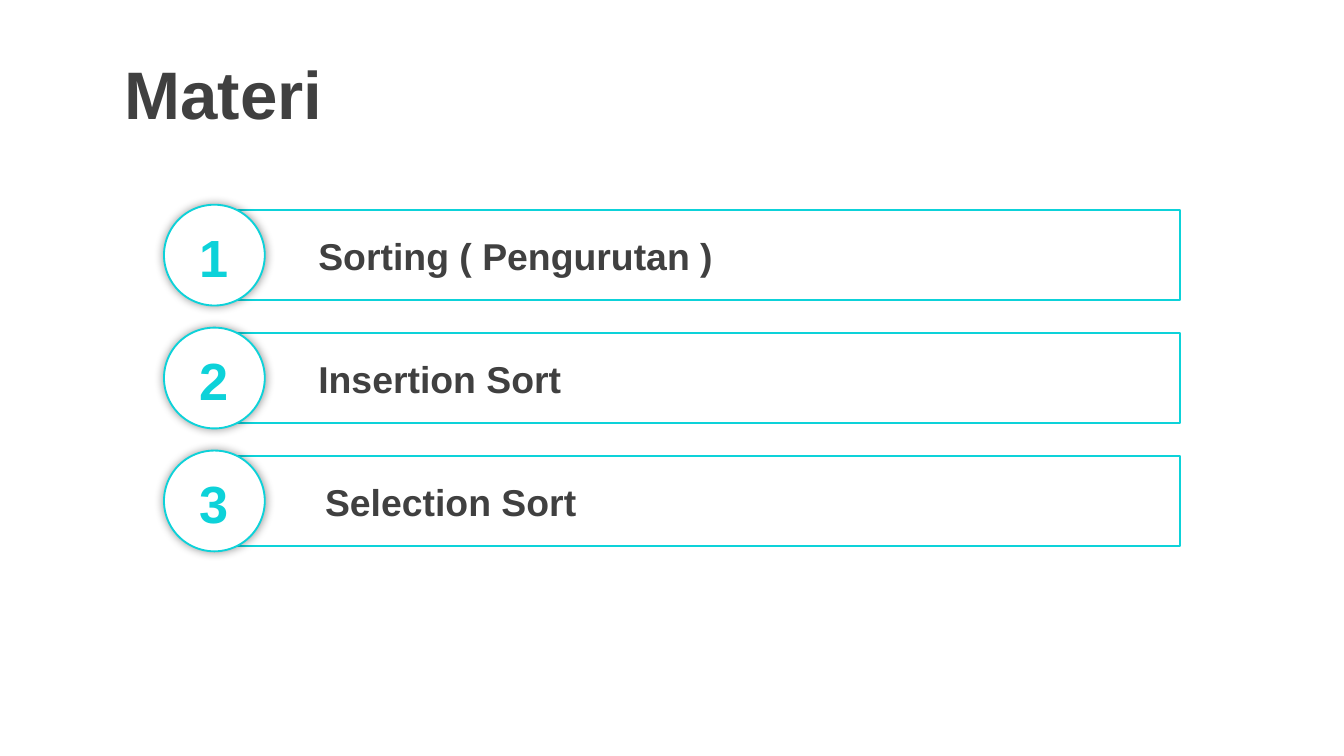
from lxml import etree
from pptx import Presentation, util as u
from pptx.dml.color import RGBColor
from pptx.enum import shapes, text
from pptx.oxml import ns

HUES = {"ink": "404040", "cyan": "0DD2D9", "white": "FFFFFF", "black": "000000"}

deck = Presentation()
deck.slide_width = u.Inches(10)
deck.slide_height = deck.slide_width * 9 // 16
slide = deck.slides.add_slide(deck.slide_layouts[6])

# The slide is a grid of 100 columns by 100 rows.
col, row = deck.slide_width / 100, deck.slide_height / 100


def label(words, x, y, w, h, size, hue, align=text.PP_ALIGN.LEFT):
    """Add one bold line of text, centred in the height of its box."""
    box = slide.shapes.add_textbox(int(x * col), int(y * row), int(w * col), int(h * row))
    frame = box.text_frame
    frame.word_wrap = True
    frame.vertical_anchor = text.MSO_ANCHOR.MIDDLE
    para = frame.paragraphs[0]
    para.alignment = align
    run = para.add_run()
    run.text = words
    run.font.name, run.font.size, run.font.bold = "Arial", u.Pt(size), True
    run.font.color.rgb = RGBColor.from_string(HUES[hue])


def outline(kind, x, y, w, h):
    """Add an unfilled shape with a thin cyan line and no shadow."""
    form = slide.shapes.add_shape(kind, int(x * col), int(y * row), int(w * col), int(h * row))
    form.shadow.inherit = False
    form.fill.background()
    form.line.color.rgb = RGBColor.from_string(HUES["cyan"])
    form.line.width = u.Pt(1)
    return form


label("Materi", 8.3, 6.6, 91.7, 11.2, 36, "ink")

# Each topic has its words and the column where they start.
topics = [("Sorting ( Pengurutan )", 22.7), ("Insertion Sort", 22.7), ("Selection Sort", 23.2)]
top, pitch = 27.8, 16.26

for i, (topic, left) in enumerate(topics):
    y = top + i * pitch
    outline(shapes.MSO_SHAPE.RECTANGLE, 15.9, y, 71.9, 11.9)
    label(topic, left, y + 2.15, 62.8, 7.8, 20, "ink")

    disc = outline(shapes.MSO_SHAPE.OVAL, 12.2, y - 0.72, 7.5, 13.33)
    disc.fill.solid()
    disc.fill.fore_color.rgb = RGBColor.from_string(HUES["white"])
    glow = etree.SubElement(disc.element.spPr.find(ns.qn("a:effectLst")), ns.qn("a:outerShdw"),
                            blurRad=str(u.Pt(5)), dist="0", dir="0", algn="ctr", rotWithShape="0")
    shade = etree.SubElement(glow, ns.qn("a:srgbClr"), val=HUES["black"])
    etree.SubElement(shade, ns.qn("a:alpha"), val="40000")
    label(str(i + 1), 13.6, y + 1.1, 4.7, 10.1, 28, "cyan", text.PP_ALIGN.CENTER)

deck.save("out.pptx")
